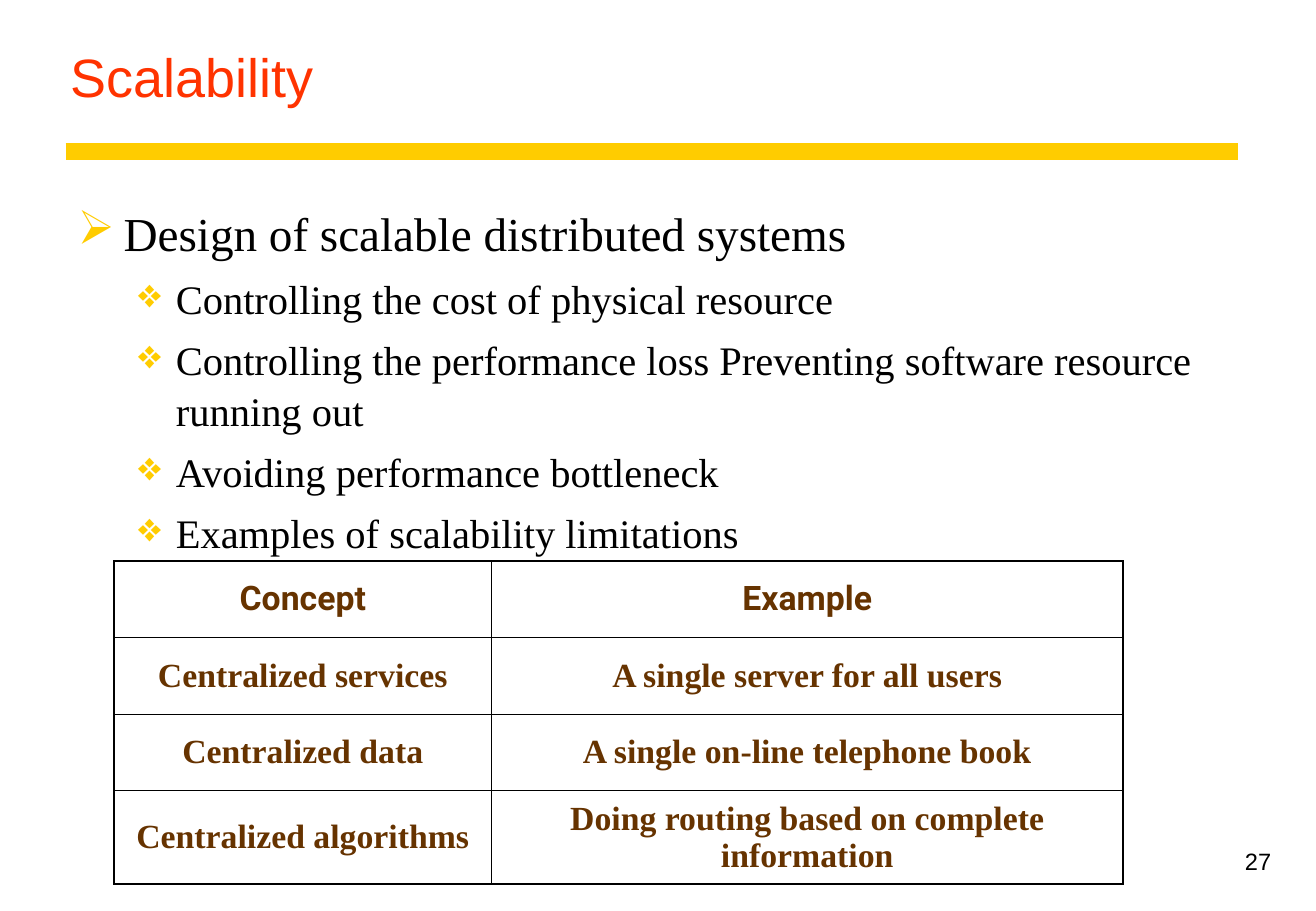
"""Build the Scalability slide: title, rule, bulleted list, table and page number."""
from dataclasses import dataclass

from lxml import etree
from pptx import Presentation
from pptx.dml.color import RGBColor
from pptx.enum.shapes import MSO_CONNECTOR
from pptx.enum.text import MSO_ANCHOR, MSO_AUTO_SIZE, PP_ALIGN
from pptx.oxml.ns import qn
from pptx.util import Inches, Pt

SLIDE_WIDTH, SLIDE_HEIGHT = Inches(10.84), Inches(7.5)
COLUMNS, ROWS = 1084, 750
LEFT, CENTER, RIGHT = PP_ALIGN.LEFT, PP_ALIGN.CENTER, PP_ALIGN.RIGHT
MIDDLE = MSO_ANCHOR.MIDDLE
STRAIGHT = MSO_CONNECTOR.STRAIGHT
NO_FIT = MSO_AUTO_SIZE.NONE
COLORS = {"title": "FF3300", "gold": "FFCC00", "text": "000000", "table": "663300"}
SERIF, SANS, HEADING = "Times New Roman", "Arial", "Roboto"
OUTER_BORDER, INNER_BORDER = 1.08, 0.45


@dataclass(frozen=True)
class Area:
    left: int
    top: int
    width: int
    height: int

    def box(self) -> tuple[int, int, int, int]:
        return (across(self.left), down(self.top),
                across(self.width), down(self.height))


@dataclass(frozen=True)
class Level:
    bullet: str
    size: int
    indent: int
    hanging: int
    before: int


@dataclass(frozen=True)
class Point:
    text: str
    depth: int = 1


LEVELS = (Level("➢", 28, 38, 38, 7), Level("❖", 24, 81, 31, 6))
POINTS = (
    Point("Design of scalable distributed systems", 0),
    Point("Controlling the cost of physical resource"),
    Point("Controlling the performance loss Preventing software resource running out"),
    Point("Avoiding performance bottleneck"),
    Point("Examples of scalability limitations"),
)
LIMITATIONS = (
    ("Concept", "Example"),
    ("Centralized services", "A single server for all users"),
    ("Centralized data", "A single on-line telephone book"),
    ("Centralized algorithms", "Doing routing based on complete information"),
)
TITLE_AREA = Area(48, 25, 972, 75)
RULE_AREA = Area(54, 125, 966, 0)
POINTS_AREA = Area(54, 158, 969, 525)
TABLE_AREA = Area(94, 462, 831, 266)
NUMBER_AREA = Area(831, 692, 226, 50)
TABLE_COLUMNS, TABLE_ROWS = (311, 520), (63, 63, 63, 77)


def across(columns: int) -> int:
    return round(SLIDE_WIDTH * columns / COLUMNS)


def down(rows: int) -> int:
    return round(SLIDE_HEIGHT * rows / ROWS)


def style(paragraph, face: str, size: int, color: str, bold: bool = False,
          alignment=LEFT) -> None:
    paragraph.alignment = alignment
    for attribute, value in {"name": face, "size": Pt(size), "bold": bold}.items():
        setattr(paragraph.font, attribute, value)
    paragraph.font.color.rgb = RGBColor.from_string(COLORS[color])


def add_title(slide, text: str) -> None:
    title = slide.shapes.title
    title.left, title.top, title.width, title.height = TITLE_AREA.box()
    frame = title.text_frame
    frame.text = text
    for attribute, value in {"vertical_anchor": MIDDLE, "auto_size": NO_FIT,
                             "word_wrap": True}.items():
        setattr(frame, attribute, value)
    style(frame.paragraphs[0], SANS, 32, "title")


def add_rule(slide) -> None:
    left, top, width, height = RULE_AREA.box()
    rule = slide.shapes.add_connector(STRAIGHT, left, top, left + width, top + height)
    rule.line.color.rgb = RGBColor.from_string(COLORS["gold"])
    rule.line.width = Pt(10)
    etree.SubElement(rule._element.spPr, qn("a:effectLst"))


def add_bullet(paragraph, level: Level) -> None:
    properties = paragraph._p.get_or_add_pPr()
    properties.set("marL", str(across(level.indent)))
    properties.set("indent", str(-across(level.hanging)))
    color = etree.SubElement(properties, qn("a:buClr"))
    etree.SubElement(color, qn("a:srgbClr"), val=COLORS["gold"])
    etree.SubElement(properties, qn("a:buChar"), char=level.bullet)


def add_points(slide) -> None:
    frame = slide.shapes.add_textbox(*POINTS_AREA.box()).text_frame
    frame.word_wrap = True
    frame.margin_top = down(8)
    for index, point in enumerate(POINTS):
        level = LEVELS[point.depth]
        paragraph = frame.add_paragraph() if index else frame.paragraphs[0]
        paragraph.text = point.text
        paragraph.level = point.depth
        paragraph.line_spacing = 1.05
        if index:
            paragraph.space_before = Pt(level.before)
        add_bullet(paragraph, level)
        style(paragraph, SERIF, level.size, "text")


def add_borders(cell, outer: dict[str, bool]) -> None:
    properties = cell._tc.get_or_add_tcPr()
    for position, (side, is_outer) in enumerate(outer.items()):
        width = Pt(OUTER_BORDER if is_outer else INNER_BORDER)
        line = etree.Element(qn(f"a:{side}"), w=str(width))
        fill = etree.SubElement(line, qn("a:solidFill"))
        etree.SubElement(fill, qn("a:srgbClr"), val=COLORS["text"])
        properties.insert(position, line)


def add_limitations(slide) -> None:
    last_row, last_column = len(TABLE_ROWS) - 1, len(TABLE_COLUMNS) - 1
    table = slide.shapes.add_table(len(TABLE_ROWS), len(TABLE_COLUMNS),
                                   *TABLE_AREA.box()).table
    table.first_row = table.horz_banding = False
    for column, width in zip(table.columns, TABLE_COLUMNS):
        column.width = across(width)
    for row, height in zip(table.rows, TABLE_ROWS):
        row.height = down(height)
    for r, texts in enumerate(LIMITATIONS):
        for c, text in enumerate(texts):
            cell = table.cell(r, c)
            cell.text = text
            cell.vertical_anchor = MIDDLE
            cell.fill.background()
            add_borders(cell, {"lnL": c == 0, "lnR": c == last_column,
                               "lnT": r == 0, "lnB": r == last_row})
            style(cell.text_frame.paragraphs[0], SERIF if r else HEADING, 20,
                  "table", True, CENTER)


def add_page_number(slide, number: str) -> None:
    frame = slide.shapes.add_textbox(*NUMBER_AREA.box()).text_frame
    frame.word_wrap = True
    frame.text = number
    style(frame.paragraphs[0], SANS, 14, "text", alignment=RIGHT)


def main() -> None:
    deck = Presentation()
    deck.slide_width, deck.slide_height = SLIDE_WIDTH, SLIDE_HEIGHT
    slide = deck.slides.add_slide(deck.slide_layouts.get_by_name("Title Only"))
    add_rule(slide)
    add_page_number(slide, "27")
    add_title(slide, "Scalability")
    add_points(slide)
    add_limitations(slide)
    deck.save("out.pptx")


if __name__ == "__main__":
    main()
